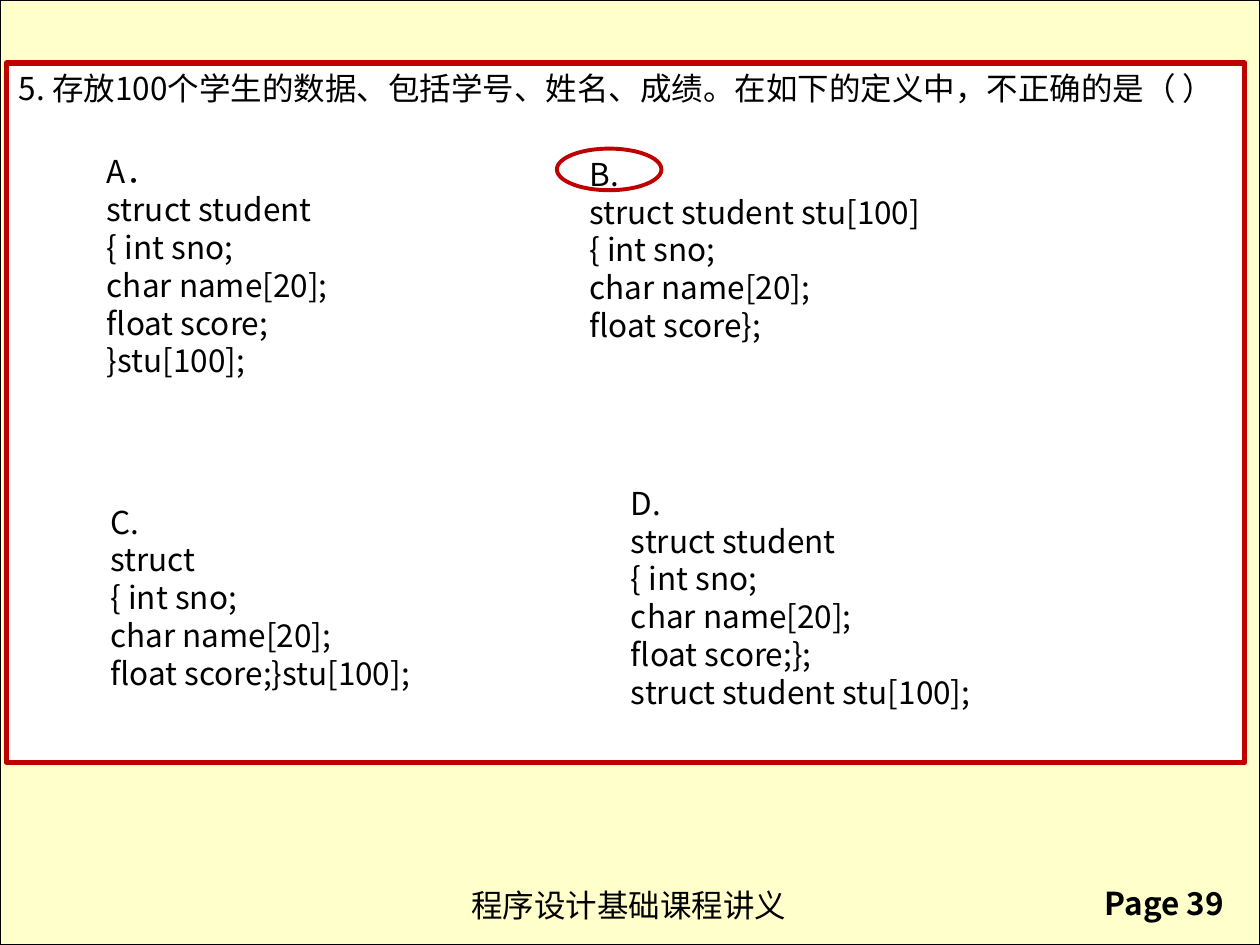
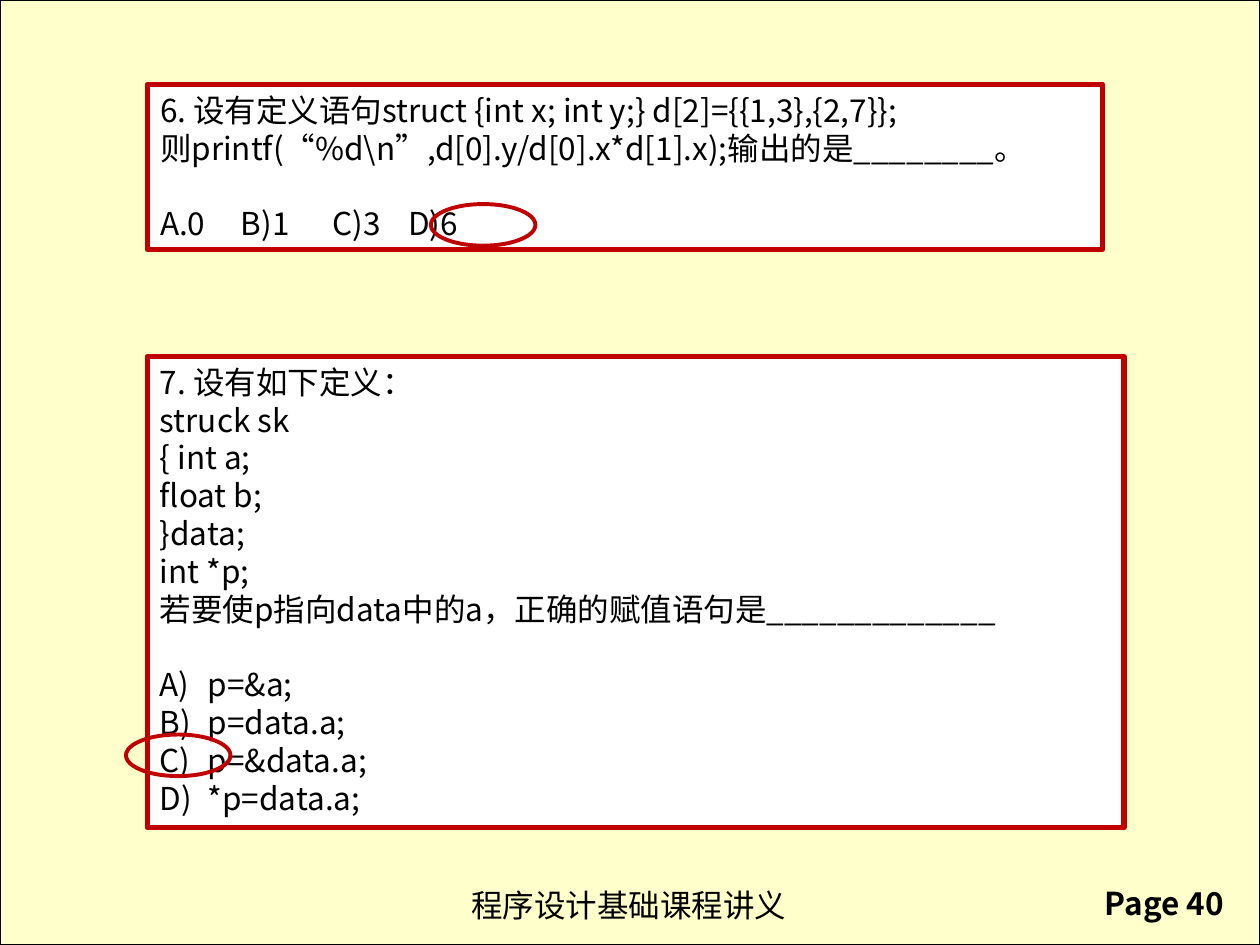
"""Builds two quiz slides on C structures with framed questions and circled answers."""
from dataclasses import dataclass
from typing import Sequence

from lxml.etree import SubElement
from pptx import Presentation
from pptx.dml.color import RGBColor
from pptx.enum.shapes import MSO_SHAPE as Shape
from pptx.enum.text import MSO_ANCHOR as Anchor, MSO_AUTO_SIZE as AutoSize, PP_ALIGN as Align
from pptx.oxml.ns import qn
from pptx.util import Inches, Pt

CREAM = RGBColor(0xFF, 0xFF, 0xCC)
WHITE = RGBColor(0xFF, 0xFF, 0xFF)
BLACK = RGBColor(0, 0, 0)
RED = RGBColor(0xC0, 0, 0)
CJK_FONT = "Noto Sans CJK SC"
TEXT_SIZE = Pt(18)
BLANK_LINE = Pt(21.6)
LETTER_INDENT = Inches(0.38)
TITLE_ONLY = 5
COURSE = "程序设计基础课程讲义"


@dataclass(frozen=True)
class Box:
    """A rectangle on the slide, in inches."""
    left: float
    top: float
    width: float
    height: float

    def lengths(self) -> tuple:
        return tuple(Inches(n) for n in (self.left, self.top, self.width, self.height))


@dataclass(frozen=True)
class Line:
    """One paragraph, optionally set apart, lettered or with tab stops."""
    text: str
    apart: bool = False
    lettered: bool = False
    tabs: tuple[float, ...] = ()


@dataclass(frozen=True)
class Block:
    """Paragraphs and the box that holds them."""
    box: Box
    lines: tuple[Line, ...]


@dataclass(frozen=True)
class QuizPage:
    """A page of questions, code options and circled answers."""
    number: int
    questions: tuple[Block, ...]
    options: tuple[Block, ...]
    answers: tuple[tuple[float, float], ...]


def plain(*texts: str) -> tuple[Line, ...]:
    return tuple(Line(text) for text in texts)


PAGES = (
    QuizPage(
        39,
        questions=(Block(Box(0.05, 0.5, 9.83, 5.55), plain(
            "5. 存放100个学生的数据、包括学号、姓名、成绩。在如下的定义中，不正确的是（ ）")),),
        options=(
            Block(Box(0.75, 1.16, 2.11, 2.22), plain(
                "A．", "struct student", "{ int sno;", "char name[20];",
                "float score;", "}stu[100];")),
            Block(Box(4.58, 1.18, 3.12, 1.92), plain(
                "B.", "struct student stu[100]", "{ int sno;", "char name[20];",
                "float score};")),
            Block(Box(0.78, 3.94, 5, 1.62), plain(
                "C.", "struct", "{ int sno;", "char name[20];", "float score;}stu[100];")),
            Block(Box(4.91, 3.79, 5, 1.92), plain(
                "D.", "struct student", "{ int sno;", "char name[20];",
                "float score;};", "struct student stu[100];")),
        ),
        answers=((4.42, 1.18),),
    ),
    QuizPage(
        40,
        questions=(
            Block(Box(1.17, 0.67, 7.58, 1.31), plain(
                "6. 设有定义语句struct {int x; int y;} d[2]={{1,3},{2,7}};",
                "则printf(“%d\\n”,d[0].y/d[0].x*d[1].x);输出的是________。",
            ) + (Line("A.0\tB)1\tC)3\tD)6", apart=True, tabs=(0.64, 1.37, 1.97)),)),
            Block(Box(1.17, 2.83, 7.75, 3.74), plain(
                "7. 设有如下定义：", "struck sk", "{ int a;", "float b;", "}data;", "int *p;",
                "若要使p指向data中的a，正确的赋值语句是_____________",
            ) + tuple(Line(text, apart=index == 0, lettered=True) for index, text in enumerate(
                ("p=&a;", "p=data.a;", "p=&data.a;", "*p=data.a;")))),
        ),
        options=(),
        answers=((3.42, 1.62), (1, 5.83)),
    ),
)


def write_lines(shape, lines: Sequence[Line], font_name: str = CJK_FONT,
                bold: bool = False, wrap: bool = True) -> None:
    frame = shape.text_frame
    frame.auto_size = AutoSize.NONE
    frame.word_wrap = wrap
    frame.vertical_anchor = Anchor.TOP
    for index, line in enumerate(lines):
        paragraph = frame.add_paragraph() if index else frame.paragraphs[0]
        paragraph.alignment = Align.LEFT
        paragraph.space_before = BLANK_LINE if line.apart else Pt(0)
        properties = paragraph._p.get_or_add_pPr()
        if line.lettered:
            properties.set("marL", str(LETTER_INDENT))
            properties.set("indent", str(-LETTER_INDENT))
            SubElement(properties, qn("a:buFont"), typeface="+mj-lt")
            SubElement(properties, qn("a:buAutoNum"), type="alphaUcParenR")
        if line.tabs:
            stops = SubElement(properties, qn("a:tabLst"))
            for stop in line.tabs:
                SubElement(stops, qn("a:tab"), pos=str(Inches(stop)), algn="l")
        run = paragraph.add_run()
        run.text = line.text
        run.font.name = font_name
        run.font.size = TEXT_SIZE
        run.font.bold = bold
        run.font.color.rgb = BLACK
        SubElement(run._r.get_or_add_rPr(), qn("a:ea"), typeface=CJK_FONT)


def outline(shape, color: RGBColor, width: float, fill: RGBColor | None = None) -> None:
    if fill is None:
        shape.fill.background()
    else:
        shape.fill.solid()
        shape.fill.fore_color.rgb = fill
    shape.line.color.rgb = color
    shape.line.width = Pt(width)


def add_outlined(slide, kind: Shape, box: Box, color: RGBColor, width: float,
                 fill: RGBColor | None = None):
    shape = slide.shapes.add_shape(kind, *box.lengths())
    shape.shadow.inherit = False
    outline(shape, color, width, fill)
    return shape


def add_text(slide, block: Block, **style) -> None:
    write_lines(slide.shapes.add_textbox(*block.box.lengths()), block.lines, **style)


def add_page_furniture(slide, number: int) -> None:
    slide.background.fill.solid()
    slide.background.fill.fore_color.rgb = CREAM
    add_outlined(slide, Shape.RECTANGLE, Box(0, 0, 10, 7.5), BLACK, 0.75)
    add_text(slide, Block(Box(3.64, 6.98, 2.73, 0.4), plain(COURSE)),
             font_name="Arial", wrap=False)
    add_text(slide, Block(Box(8.67, 6.97, 1.28, 0.4), plain(f"Page {number}")),
             bold=True, wrap=False)


def add_title_question(slide, question: Block) -> None:
    title = slide.shapes.title
    title.left, title.top, title.width, title.height = question.box.lengths()
    outline(title, RED, 3, WHITE)
    write_lines(title, question.lines)


def add_quiz_page(deck, page: QuizPage) -> None:
    slide = deck.slides.add_slide(deck.slide_layouts[TITLE_ONLY])
    add_page_furniture(slide, page.number)
    first, *others = page.questions
    add_title_question(slide, first)
    for question in others:
        frame = add_outlined(slide, Shape.RECTANGLE, question.box, RED, 3, WHITE)
        write_lines(frame, question.lines)
    for option in page.options:
        add_text(slide, option)
    for left, top in page.answers:
        add_outlined(slide, Shape.OVAL, Box(left, top, 0.83, 0.33), RED, 2.25)


def main() -> None:
    deck = Presentation()
    deck.slide_width, deck.slide_height = Inches(10), Inches(7.5)
    for page in PAGES:
        add_quiz_page(deck, page)
    deck.save("out.pptx")


if __name__ == "__main__":
    main()
